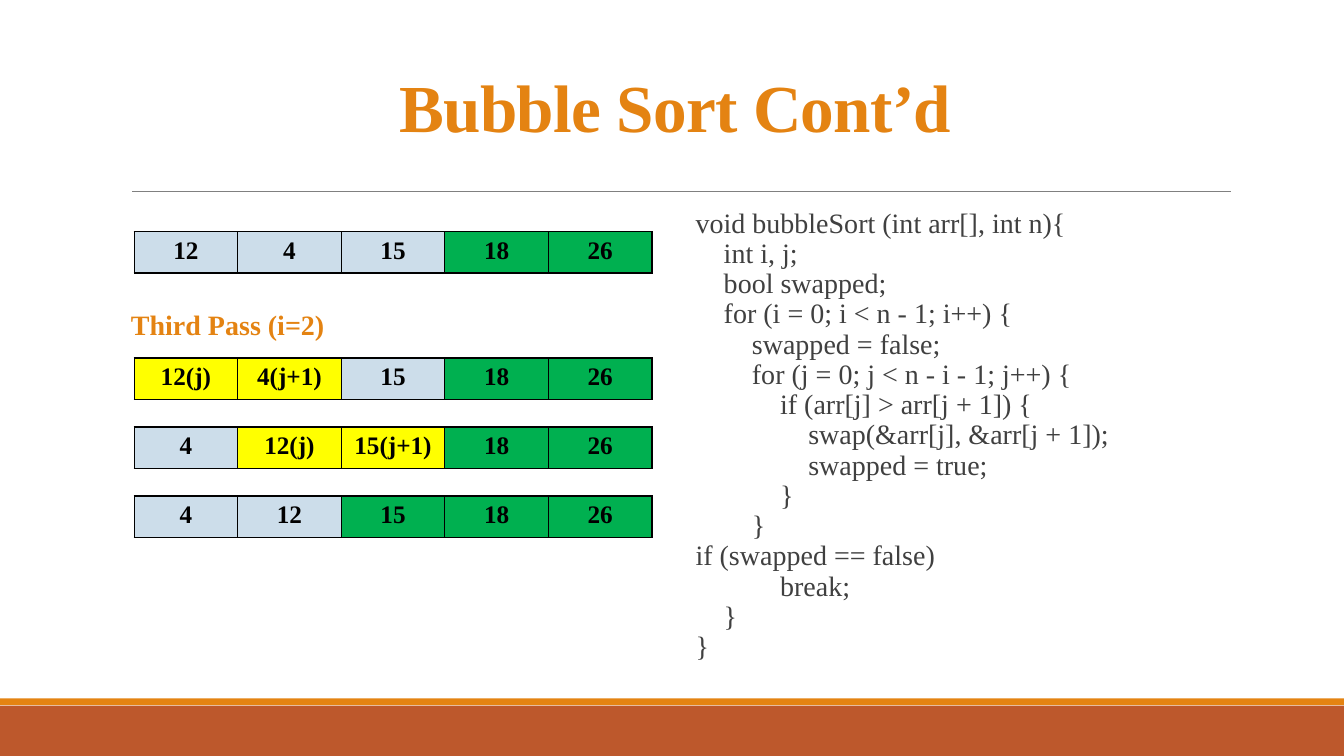
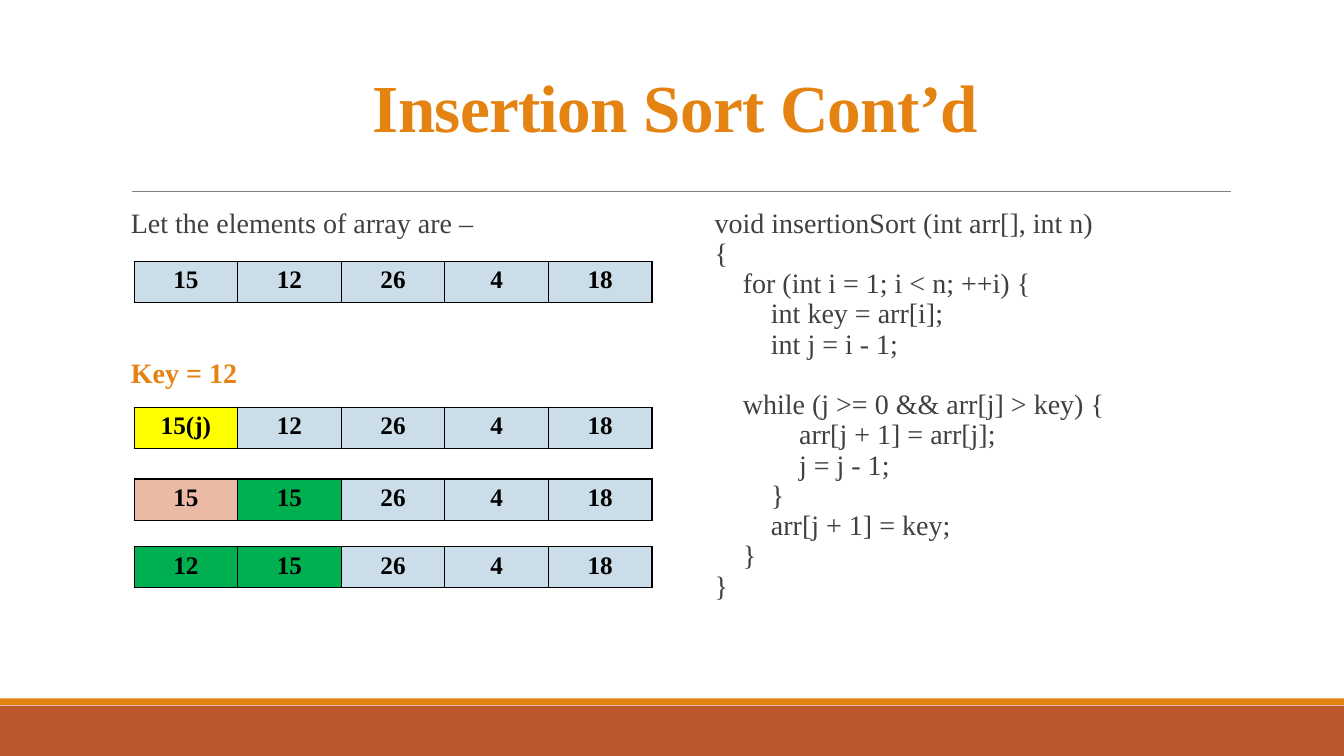
from lxml import etree
from pptx import Presentation
from pptx.dml.color import RGBColor
from pptx.enum.shapes import MSO_CONNECTOR, MSO_SHAPE
from pptx.enum.text import MSO_ANCHOR, PP_ALIGN
from pptx.oxml.ns import qn
from pptx.util import Cm, Pt

CENTER, LEFT = PP_ALIGN.CENTER, PP_ALIGN.LEFT
TOP, MIDDLE = MSO_ANCHOR.TOP, MSO_ANCHOR.MIDDLE
RECTANGLE = MSO_SHAPE.RECTANGLE
STRAIGHT = MSO_CONNECTOR.STRAIGHT

FONT = "Times New Roman"
COLORS = {
    "accent": "E48312",
    "footer": "BD582C",
    "rule": "808080",
    "text": "404040",
    "black": "000000",
    "plain": "CCDDEA",
    "compared": "FFFF00",
    "sorted": "00B050",
    "shifted": "EABAA5",
}
CELL_FILLS = {"p": "plain", "c": "compared", "s": "sorted", "m": "shifted"}

# Labels: top in cm, text, highlighted.
# Arrays: top in cm, values, one fill letter per cell.
# Code: blocks of (indent level, line), a blank line's gap between blocks.
SLIDES = [
    {
        "title": "Bubble Sort Cont’d",
        "labels": [(7.72, "Third Pass (i=2)", True)],
        "arrays": [
            (5.84, "12 4 15 18 26", "pppss"),
            (9.02, "12(j) 4(j+1) 15 18 26", "ccpss"),
            (10.76, "4 12(j) 15(j+1) 18 26", "pccss"),
            (12.5, "4 12 15 18 26", "ppsss"),
        ],
        "code_left": 17.53,
        "code": [[
            (0, "void bubbleSort (int arr[], int n){"),
            (1, "int i, j;"),
            (1, "bool swapped;"),
            (1, "for (i = 0; i < n - 1; i++) {"),
            (2, "swapped = false;"),
            (2, "for (j = 0; j < n - i - 1; j++) {"),
            (3, "if (arr[j] > arr[j + 1]) {"),
            (4, "swap(&arr[j], &arr[j + 1]);"),
            (4, "swapped = true;"),
            (3, "}"),
            (2, "}"),
            (0, "if (swapped == false)"),
            (3, "break;"),
            (1, "}"),
            (0, "}"),
        ]],
    },
    {
        "title": "Insertion Sort Cont’d",
        "labels": [
            (5.13, "Let the elements of array are –", False),
            (8.92, "Key = 12", True),
        ],
        "arrays": [
            (6.58, "15 12 26 4 18", "ppppp"),
            (10.26, "15(j) 12 26 4 18", "cpppp"),
            (12.07, "15 15 26 4 18", "msppp"),
            (13.77, "12 15 26 4 18", "ssppp"),
        ],
        "code_left": 18.01,
        "code": [
            [
                (0, "void insertionSort (int arr[], int n)"),
                (0, "{"),
                (1, "for (int i = 1; i < n; ++i) {"),
                (2, "int key = arr[i];"),
                (2, "int j = i - 1;"),
            ],
            [
                (1, "while (j >= 0 && arr[j] > key) {"),
                (3, "arr[j + 1] = arr[j];"),
                (3, "j = j - 1;"),
                (2, "}"),
                (2, "arr[j + 1] = key;"),
                (1, "}"),
                (0, "}"),
            ],
        ],
    },
]

SLIDE_WIDTH, SLIDE_HEIGHT = Cm(33.87), Cm(19.05)
BODY_TOP, BODY_RIGHT = Cm(5.13), Cm(30.99)
LABEL_LEFT, LABEL_WIDTH, LABEL_HEIGHT = Cm(3.3), Cm(13.46), Cm(1)
CODE_HEIGHT, CODE_INDENT = Cm(12.32), Cm(0.71)
LINE_HEIGHT = Pt(21.6)
ARRAY_LEFT, CELL_WIDTH, CELL_HEIGHT = Cm(3.38), Cm(2.61), Cm(1.04)
BANDS = [(Cm(17.78), Cm(1.27), "footer"), (Cm(17.6), Cm(0.17), "accent")]


def rgb(name):
    return RGBColor.from_string(COLORS[name])


def style(paragraph, size, color, bold=False, align=LEFT):
    paragraph.alignment = align
    font = paragraph.font
    font.name, font.size, font.bold = FONT, Pt(size), bold
    font.color.rgb = rgb(color)


def add_text_frame(slide, left, top, width, height, side=0, anchor=TOP):
    frame = slide.shapes.add_textbox(left, top, width, height).text_frame
    frame.word_wrap = True
    frame.vertical_anchor = anchor
    frame.margin_left = frame.margin_right = side
    return frame


def add_frame(slide, title):
    """Add the bands, the rule and the title that every slide has."""
    for top, height, color in BANDS:
        band = slide.shapes.add_shape(RECTANGLE, 0, top, SLIDE_WIDTH, height)
        band.shadow.inherit = False
        band.fill.solid()
        band.fill.fore_color.rgb = rgb(color)
        band.line.fill.background()

    rule = slide.shapes.add_connector(
        STRAIGHT, Cm(3.33), Cm(4.83), Cm(31.01), Cm(4.83))
    rule.line.color.rgb = rgb("rule")
    rule.line.width = Pt(0.5)
    etree.SubElement(rule._element.spPr, qn("a:effectLst"))

    frame = add_text_frame(slide, Cm(3.05), Cm(0.79), Cm(27.94), Cm(4.04),
                           Cm(0.25), MIDDLE)
    paragraph = frame.paragraphs[0]
    run = paragraph.add_run()
    run.text = title
    run._r.get_or_add_rPr().set("spc", "-50")
    paragraph.line_spacing = 0.85
    style(paragraph, 48, "accent", True, CENTER)


def add_label(slide, top, text, highlighted):
    frame = add_text_frame(slide, LABEL_LEFT, Cm(top), LABEL_WIDTH, LABEL_HEIGHT)
    paragraph = frame.paragraphs[0]
    paragraph.text = text
    paragraph.line_spacing = LINE_HEIGHT
    style(paragraph, 20, "accent" if highlighted else "text", highlighted)


def add_borders(cell):
    properties = cell._tc.get_or_add_tcPr()
    for side in ("lnL", "lnR", "lnT", "lnB"):
        border = etree.SubElement(properties, qn(f"a:{side}"), w=str(Pt(1)))
        fill = etree.SubElement(border, qn("a:solidFill"))
        etree.SubElement(fill, qn("a:srgbClr"), val=COLORS["black"])


def add_array(slide, top, values, fills):
    values = values.split()
    table = slide.shapes.add_table(
        1, len(values), ARRAY_LEFT, Cm(top),
        CELL_WIDTH * len(values), CELL_HEIGHT).table
    table.first_row = table.horz_banding = False
    for cell, value, fill in zip(table.iter_cells(), values, fills):
        add_borders(cell)
        cell.fill.solid()
        cell.fill.fore_color.rgb = rgb(CELL_FILLS[fill])
        cell.text = value
        style(cell.text_frame.paragraphs[0], 18, "black", True, CENTER)


def add_code(slide, left, blocks):
    frame = add_text_frame(slide, left, BODY_TOP, BODY_RIGHT - left, CODE_HEIGHT)
    paragraph = frame.paragraphs[0]
    for block_index, block in enumerate(blocks):
        for line_index, (level, text) in enumerate(block):
            if block_index or line_index:
                paragraph = frame.add_paragraph()
            if block_index and not line_index:
                paragraph.space_before = LINE_HEIGHT
            paragraph.text = text
            paragraph.line_spacing = LINE_HEIGHT
            paragraph._p.get_or_add_pPr().set("marL", str(CODE_INDENT * level))
            style(paragraph, 20, "text")


def main():
    presentation = Presentation()
    presentation.slide_width = SLIDE_WIDTH
    presentation.slide_height = SLIDE_HEIGHT
    blank = presentation.slide_layouts[6]
    for content in SLIDES:
        slide = presentation.slides.add_slide(blank)
        add_frame(slide, content["title"])
        for label in content["labels"]:
            add_label(slide, *label)
        for array in content["arrays"]:
            add_array(slide, *array)
        add_code(slide, Cm(content["code_left"]), content["code"])
    presentation.save("out.pptx")


if __name__ == "__main__":
    main()
